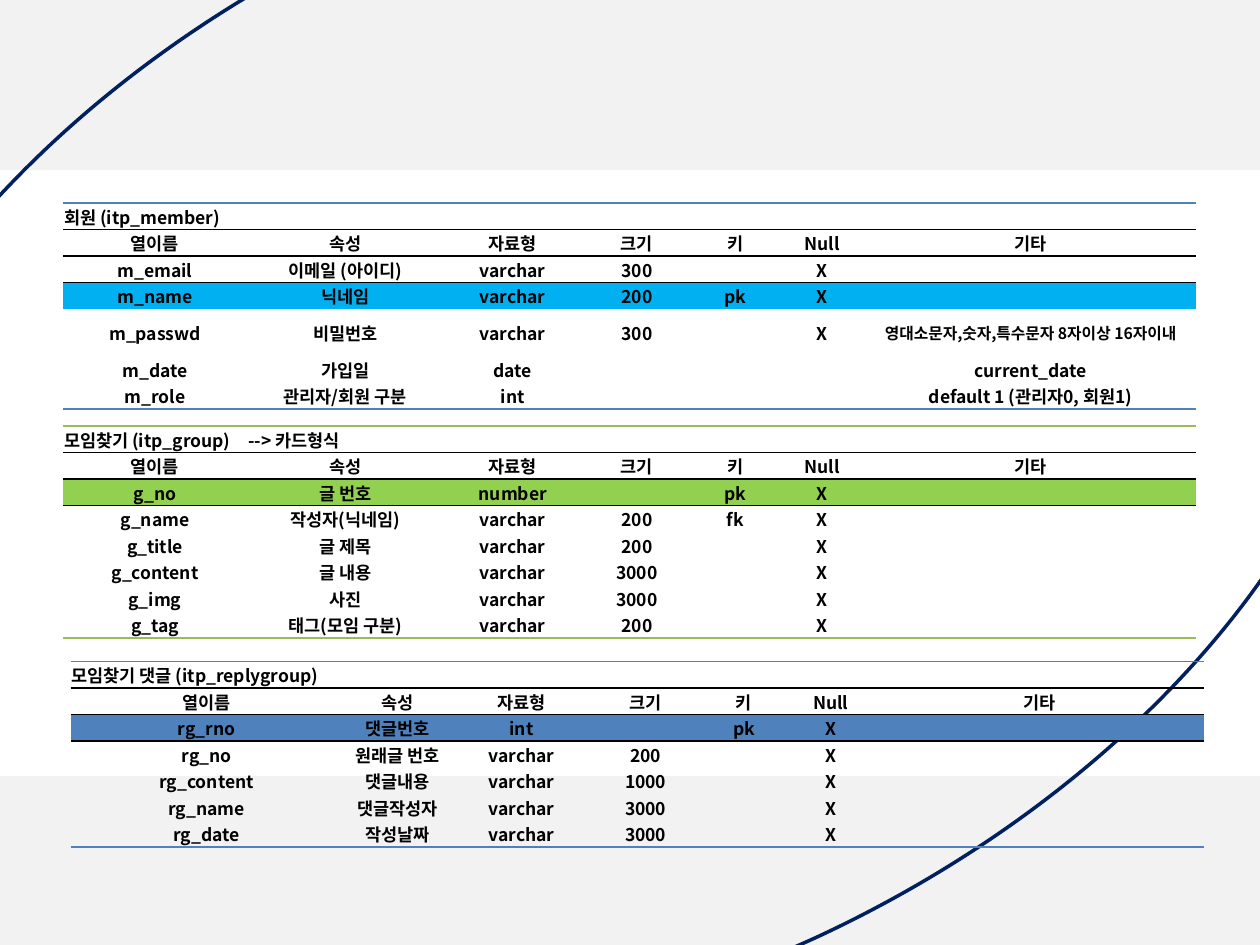
from lxml import etree
from pptx import Presentation
from pptx import util as u
from pptx.dml.color import RGBColor
from pptx.enum import shapes, text
from pptx.oxml.ns import qn

COLORS = {
    "band": "F2F2F2", "curve": "002060", "text": "000000", "rule": "000000",
    "blue": "4F81BD", "green": "9BBB59", "member": "00B0F0", "group": "92D050",
}
FONT = "Noto Sans CJK KR"
NO_STYLE = "{2D5ABB26-0587-4C30-8999-92F81FD0307C}"
CELL_FORMAT = {
    "margin_left": u.Inches(0.01), "margin_right": u.Inches(0.01),
    "margin_top": u.Inches(0.01), "margin_bottom": 0,
    "vertical_anchor": text.MSO_ANCHOR.MIDDLE,
}
HEADER = ["열이름", "속성", "자료형", "크기", "키", "Null", "기타"]

presentation = Presentation()
presentation.slide_width, presentation.slide_height = u.Inches(10), u.Inches(7.5)
slide = presentation.slides.add_slide(presentation.slide_layouts[6])
# The grid is 100 columns by 75 rows of square units.
UNIT = presentation.slide_width // 100
ROW = 2.04


def add_outline_shape(kind, left, top, width, height):
    """Add an unshadowed preset shape, placed in grid units."""
    shape = slide.shapes.add_shape(
        kind, *(round(length * UNIT) for length in (left, top, width, height)))
    shape.shadow.inherit = False
    return shape


def add_border(cell, side, color):
    """Put a 1 pt line on one side of a cell, ahead of its fill."""
    line = etree.Element(qn(f"a:{side}"), w=str(u.Pt(1)))
    fill = etree.SubElement(line, qn("a:solidFill"))
    etree.SubElement(fill, qn("a:srgbClr"), val=COLORS[color])
    cell._tc.get_or_add_tcPr().insert(0, line)


for top in (0, 61.6):
    band = add_outline_shape(shapes.MSO_SHAPE.RECTANGLE, 0, top, 100, 13.5)
    band.fill.solid()
    band.fill.fore_color.rgb = RGBColor.from_string(COLORS["band"])
    band.line.fill.background()

curve = add_outline_shape(shapes.MSO_SHAPE.TEAR, -19.4, -9.1, 132.7, 87.3)
curve.adjustments[0] = 0.69
curve.rotation = 154.5
curve.fill.background()
curve.line.color.rgb = RGBColor.from_string(COLORS["curve"])
curve.line.width = u.Pt(2)

# Each table: left, top, widths of the first two columns, outer line, key row, key fill, rows
tables = [
    (5, 16.1, (14.6, 15.6), "blue", 3, "member", [
        ["회원 (itp_member)"],
        HEADER,
        ["m_email", "이메일 (아이디)", "varchar", "300", "", "X"],
        ["m_name", "닉네임", "varchar", "200", "pk", "X"],
        ["m_passwd", "비밀번호", "varchar", "300", "", "X",
         "영대소문자,숫자,특수문자 8자이상 16자이내"],
        ["m_date", "가입일", "date", "", "", "", "current_date"],
        ["m_role", "관리자/회원 구분", "int", "", "", "", "default 1 (관리자0, 회원1)"],
    ]),
    (5, 33.8, (14.6, 15.6), "green", 2, "group", [
        ["모임찾기 (itp_group)", "--> 카드형식"],
        HEADER,
        ["g_no", "글 번호", "number", "", "pk", "X"],
        ["g_name", "작성자(닉네임)", "varchar", "200", "fk", "X"],
        ["g_title", "글 제목", "varchar", "200", "", "X"],
        ["g_content", "글 내용", "varchar", "3000", "", "X"],
        ["g_img", "사진", "varchar", "3000", "", "X"],
        ["g_tag", "태그(모임 구분)", "varchar", "200", "", "X"],
    ]),
    (5.6, 52.5, (21.6, 8.7), "blue", 2, "blue", [
        ["모임찾기 댓글 (itp_replygroup)"],
        HEADER,
        ["rg_rno", "댓글번호", "int", "", "pk", "X"],
        ["rg_no", "원래글 번호", "varchar", "200", "", "X"],
        ["rg_content", "댓글내용", "varchar", "1000", "", "X"],
        ["rg_name", "댓글작성자", "varchar", "3000", "", "X"],
        ["rg_date", "작성날짜", "varchar", "3000", "", "X"],
    ]),
]

for left, top, first_widths, outer, key_row, key_fill, rows in tables:
    widths = [*first_widths, 11, 8.7, 6.9, 6.9, 26.2]
    frame = slide.shapes.add_table(
        len(rows), len(widths), round(left * UNIT), round(top * UNIT),
        round(sum(widths) * UNIT), round(len(rows) * ROW * UNIT))
    frame.element.find(".//" + qn("a:tableStyleId")).text = NO_STYLE
    table = frame.table
    table.first_row = table.horz_banding = False
    for column, width in zip(table.columns, widths):
        column.width = round(width * UNIT)
    # Horizontal lines by the number of rows above them
    lines = {0: outer, 1: "rule", 2: "rule", len(rows): outer}

    for row, values in enumerate(rows):
        for column in range(len(widths)):
            value = values[column] if column < len(values) else ""
            cell = table.cell(row, column)
            for name, setting in CELL_FORMAT.items():
                setattr(cell, name, setting)
            if row == key_row:
                cell.fill.solid()
                cell.fill.fore_color.rgb = RGBColor.from_string(COLORS[key_fill])
            else:
                cell.fill.background()
            for side, edge in (("lnB", row + 1), ("lnT", row)):
                if edge in lines:
                    add_border(cell, side, lines[edge])

            paragraph = cell.text_frame.paragraphs[0]
            if not value:
                etree.SubElement(paragraph._p, qn("a:endParaRPr"), sz="1000")
                continue
            paragraph.alignment = text.PP_ALIGN.CENTER if row else text.PP_ALIGN.LEFT
            run = paragraph.add_run()
            run.text = value
            size = 9 if value.startswith("영대소문자") else 10
            for name, setting in {"size": u.Pt(size), "bold": True, "name": FONT}.items():
                setattr(run.font, name, setting)
            run.font.color.rgb = RGBColor.from_string(COLORS["text"])
            etree.SubElement(run.font._element, qn("a:ea"), typeface=FONT)

presentation.save("out.pptx")
